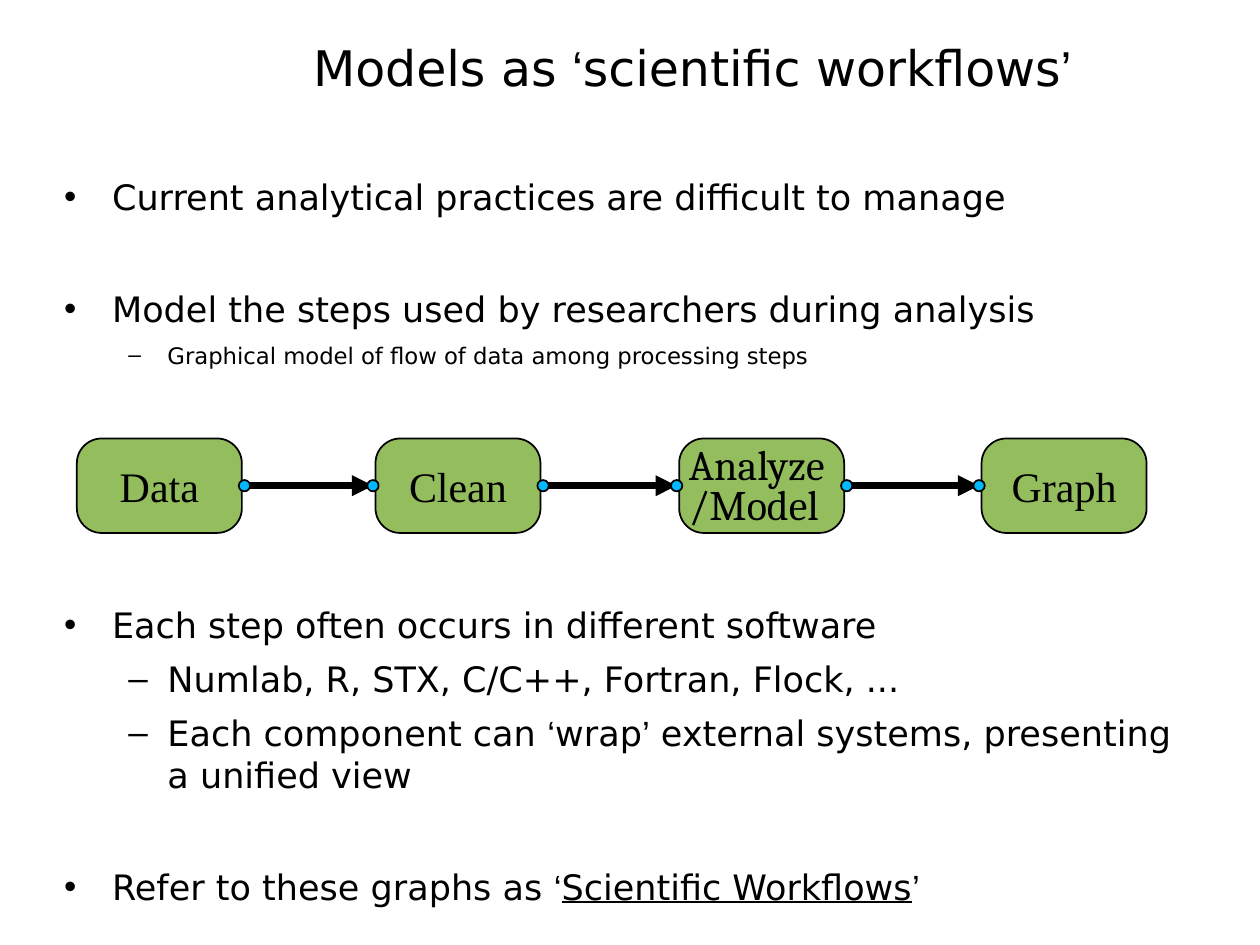
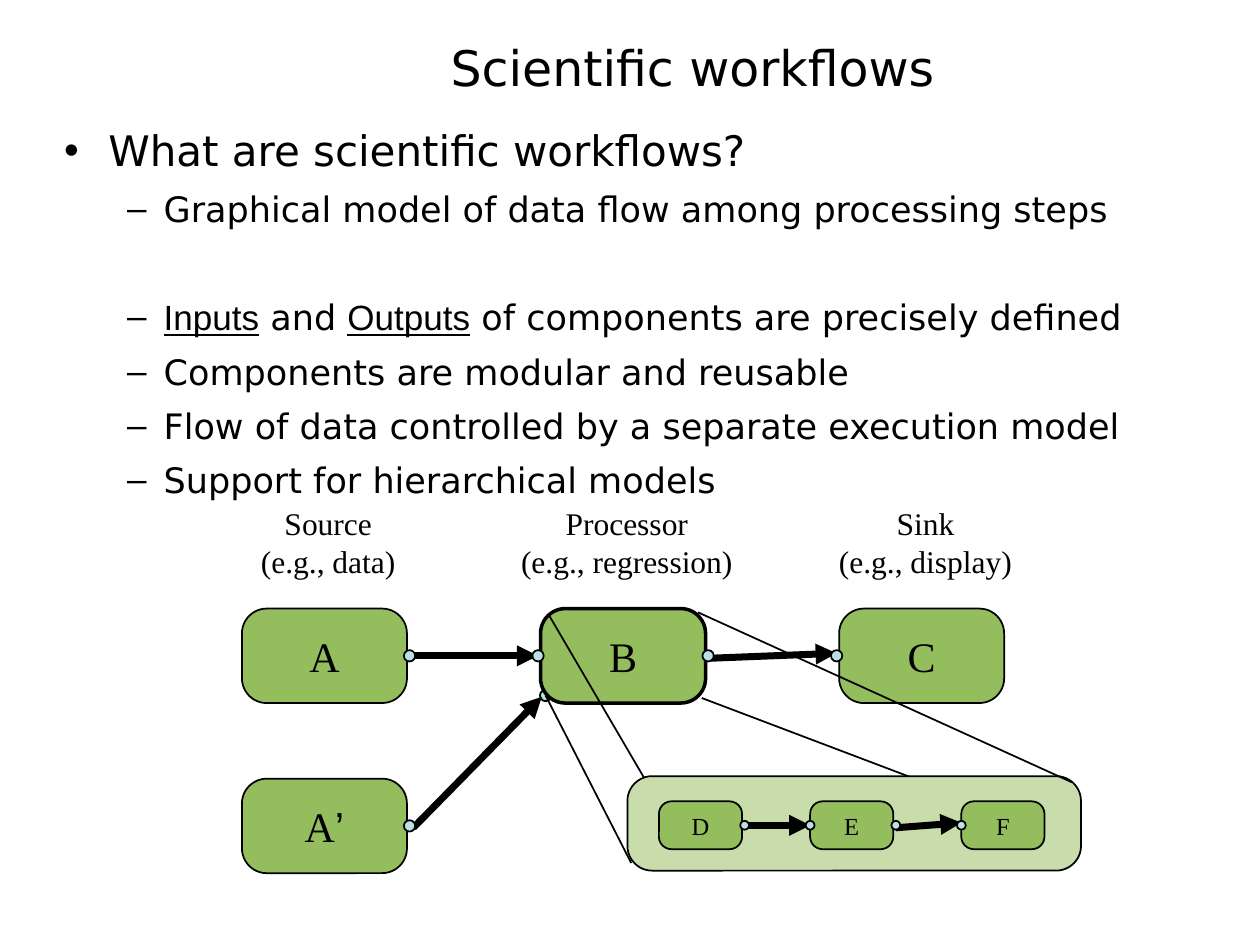
from dataclasses import dataclass

from pptx import Presentation
from pptx.dml.color import RGBColor
from pptx.enum.shapes import MSO_CONNECTOR as Connector, MSO_SHAPE as Shape
from pptx.enum.text import MSO_ANCHOR as Anchor, MSO_AUTO_SIZE as AutoSize, PP_ALIGN as Align
from pptx.oxml.ns import qn
from pptx.util import Inches, Pt
from lxml.etree import SubElement

BLACK = "000000"
GREEN = "94BD5E"
PALE_GREEN = "C8DDAB"
BRIGHT_BLUE = "00B8FF"
PALE_BLUE = "BBE0E3"
SANS = "DejaVu Sans"
SERIF = "Times New Roman"
OPEN_QUOTE = ("‘", "Arial", False)
CLOSE_QUOTE = ("’", "Arial", False)
TITLE_BOX = (1.33, 0, 8.37, 1.06)
CORNER = 0.262


@dataclass
class StepStyle:
    """Measures of one kind of workflow step, in inches and points."""
    width: float
    height: float
    port: float
    port_in: float
    port_out: float
    size: int


LARGE_STEP = StepStyle(1.31, 0.75, 0.09, -0.02, 0.02, 24)
SMALL_STEP = StepStyle(0.66, 0.38, 0.07, 0, 0.02, 14)


@dataclass
class BulletStyle:
    """Indents in inches and the bullet sign of one outline level."""
    margin: float
    hanging: float
    sign: str


def color(hex_string):
    """Turn a hex string into a colour."""
    return RGBColor.from_string(hex_string)


def inches(*lengths):
    """Convert several numbers to lengths."""
    return [Inches(length) for length in lengths]


def set_insets(frame, left=0, top=0, right=0, bottom=0):
    """Set the four insets of a text frame and let it wrap."""
    frame.margin_left, frame.margin_top, frame.margin_right, frame.margin_bottom = inches(
        left, top, right, bottom)
    frame.word_wrap = True
    frame.auto_size = AutoSize.NONE


def add_runs(para, pieces, size, font=SANS):
    """Write pieces, each a string or (text, font, underline), into a paragraph."""
    for piece in pieces:
        text, face, underline = (piece, font, False) if isinstance(piece, str) else piece
        span = para.add_run()
        span.text = text
        span.font.name = face
        span.font.size = Pt(size)
        span.font.underline = underline
        span.font.color.rgb = color(BLACK)


def add_title_page(deck, pieces):
    """Add a title-only page and format its title."""
    page = deck.slides.add_slide(deck.slide_layouts[5])
    title = page.shapes.title
    title.left, title.top, title.width, title.height = inches(*TITLE_BOX)
    frame = title.text_frame
    set_insets(frame, 0.1, 0.06, 0.14, 0.06)
    frame.vertical_anchor = Anchor.MIDDLE
    frame.paragraphs[0].alignment = Align.CENTER
    add_runs(frame.paragraphs[0], pieces, 28)
    return page


def add_outline(page, area, levels, items):
    """Add bulleted text; an item is level, size, space before and pieces."""
    frame = page.shapes.add_textbox(*inches(*area)).text_frame
    set_insets(frame, 0.06, 0.06, 0.14, 0.06)
    for index, (level, size, space, pieces) in enumerate(items):
        para = frame.add_paragraph() if index else frame.paragraphs[0]
        para.level = level
        para.space_before = Pt(space)
        style = levels[level]
        properties = para._p.get_or_add_pPr()
        properties.set("marL", str(Inches(style.margin)))
        properties.set("indent", str(-Inches(style.hanging)))
        SubElement(properties, qn("a:buFont")).set("typeface", "Arial")
        SubElement(properties, qn("a:buChar")).set("char", style.sign)
        add_runs(para, pieces, size)


def add_shape(page, kind, area, fill, line=1):
    """Add a filled shape with a black outline."""
    shape = page.shapes.add_shape(kind, *inches(*area))
    shape.shadow.inherit = False
    shape.fill.solid()
    shape.fill.fore_color.rgb = color(fill)
    shape.line.color.rgb = color(BLACK)
    shape.line.width = Pt(line)
    if kind == Shape.ROUNDED_RECTANGLE:
        shape.adjustments[0] = CORNER
    return shape


def add_line(page, start, end, width=1, arrow=False):
    """Draw a straight black line, with an arrowhead at its end if asked."""
    line = page.shapes.add_connector(Connector.STRAIGHT, *inches(*start, *end))
    line.line.color.rgb = color(BLACK)
    line.line.width = Pt(width)
    if arrow:
        SubElement(line.line._get_or_add_ln(), qn("a:tailEnd")).set("type", "triangle")
    SubElement(line._element.spPr, qn("a:effectLst"))


def add_port(page, center, size, fill):
    """Draw a round port around a point."""
    x, y = center
    add_shape(page, Shape.OVAL, (x - size / 2, y - size / 2, size, size), fill)


def add_step(page, left, top, style, pieces):
    """Draw one workflow step with its name centred."""
    step = add_shape(page, Shape.ROUNDED_RECTANGLE, (left, top, style.width, style.height), GREEN)
    set_insets(step.text_frame)
    step.text_frame.vertical_anchor = Anchor.MIDDLE
    para = step.text_frame.paragraphs[0]
    para.alignment = Align.CENTER
    add_runs(para, pieces, style.size, SERIF)
    return step


def add_chain(page, lefts, top, style, names, port_fill, rises):
    """Draw steps in a row, joined port to port by arrows that may rise."""
    middle = top + style.height / 2
    steps = [add_step(page, left, top, style, [name]) for left, name in zip(lefts, names)]
    for left, following, rise in zip(lefts, lefts[1:], rises):
        start = left + style.width + style.port_out
        end = following + style.port_in
        add_line(page, (start, middle + rise), (end, middle - rise), 4, arrow=True)
        for x in (start, end):
            add_port(page, (x, middle), style.port, port_fill)
    return steps


def split_step_name(step, lines):
    """Give a step a tight, left-aligned name of several lines."""
    frame = step.text_frame
    frame.text = "\n".join(lines)
    frame.margin_left, frame.margin_top = inches(0.02, 0.04)
    for para in frame.paragraphs:
        para.alignment = Align.LEFT
        para.line_spacing = 0.8
        font = para.runs[0].font
        font.name, font.size = "Cambria", Pt(24)
        font.color.rgb = color(BLACK)


def add_caption(page, area, lines):
    """Add a centred caption of several lines."""
    frame = page.shapes.add_textbox(*inches(*area)).text_frame
    set_insets(frame)
    frame.text = "\n".join(lines)
    for para in frame.paragraphs:
        para.alignment = Align.CENTER
        font = para.runs[0].font
        font.name, font.size = SERIF, Pt(18)
        font.color.rgb = color(BLACK)


def add_subworkflow(page, left, top):
    """Draw the panel that holds the inner workflow."""
    add_shape(page, Shape.ROUNDED_RECTANGLE, (left, top, 3.6, 0.75), PALE_GREEN)
    lefts = [left + 0.25 + 1.2 * index for index in range(3)]
    add_chain(page, lefts, top + 0.2, SMALL_STEP, "DEF", PALE_BLUE, (0, 0.02))


def add_hierarchy(page, left, top):
    """Draw the workflow whose middle step opens into an inner workflow."""
    lefts = [left + 2.37 * index for index in range(3)]
    captions = (("Source", "data"), ("Processor", "regression"), ("Sink", "display"))
    for step_left, (role, example) in zip(lefts, captions):
        add_caption(page, (step_left - 0.31, top - 0.83, 1.99, 0.68), (role, f"(e.g., {example})"))

    second_top = top + 1.35
    second_port = (left + LARGE_STEP.width + LARGE_STEP.port_out,
                   second_top + LARGE_STEP.height / 2)
    corner_port = (lefts[1] + 0.04, top + 0.69)
    add_port(page, corner_port, LARGE_STEP.port, PALE_BLUE)
    add_step(page, left, second_top, LARGE_STEP, ["A", CLOSE_QUOTE])
    add_line(page, (left + 1.36, top + 1.74), (lefts[1] + 0.01, top + 0.7), 4, arrow=True)
    add_port(page, second_port, LARGE_STEP.port, PALE_BLUE)

    add_line(page, (left + 3.65, top + 0.71), (left + 5.55, top + 1.43))
    steps = add_chain(page, lefts, top, LARGE_STEP, "ABC", PALE_BLUE, (0, 0.02))
    steps[1].line.width = Pt(2)
    add_subworkflow(page, left + 3.06, top + 1.33)
    for start_x, start_y, end_x, end_y in (
            (2.41, 0.69, 3.09, 2.02), (3.62, 0.03, 6.59, 1.38), (2.43, 0.04, 3.19, 1.34)):
        add_line(page, (left + start_x, top + start_y), (left + end_x, top + end_y))


def build_models_page(deck):
    """Build the page on models as workflows."""
    page = add_title_page(
        deck, ["Models as ", OPEN_QUOTE, "scientific workflows", CLOSE_QUOTE])
    levels = (BulletStyle(0.42, 0.38, "•"), BulletStyle(0.86, 0.31, "–"))
    add_outline(page, (0.41, 1.33, 9.17, 6.17), levels, [
        (0, 20, 8, ["Current analytical practices are difficult to manage"]),
        (0, 20, 40, ["Model the steps used by researchers during analysis"]),
        (1, 13, 7, ["Graphical model of flow of data among processing steps"]),
        (0, 20, 134, ["Each step often occurs in different software"]),
        (1, 20, 7, ["Numlab, R, STX, C/C++, Fortran, Flock, ..."]),
        (1, 20, 7, ["Each component can ", OPEN_QUOTE, "wrap", CLOSE_QUOTE,
                    " external systems, presenting a unified view"]),
        (0, 20, 40, ["Refer to these graphs as ", OPEN_QUOTE,
                     ("Scientific Workflows", SANS, True), CLOSE_QUOTE]),
    ])
    steps = add_chain(page, (0.61, 2.98, 5.39, 7.79), 3.48, LARGE_STEP,
                      ("Data", "Clean", "", "Graph"), BRIGHT_BLUE, (0, 0, 0))
    split_step_name(steps[2], ("Analyze", "/Model"))


def build_workflows_page(deck):
    """Build the page that explains scientific workflows."""
    page = add_title_page(deck, ["Scientific workflows"])
    levels = (BulletStyle(0.39, 0.35, "•"), BulletStyle(0.83, 0.29, "–"))
    add_outline(page, (0.41, 0.93, 9.16, 4.96), levels, [
        (0, 24, 8, ["What are scientific workflows?"]),
        (1, 20, 7, ["Graphical model of data flow among processing steps"]),
        (1, 20, 38, [("Inputs", "Arial", True), " and ", ("Outputs", "Arial", True),
                     " of components are precisely defined"]),
        (1, 20, 7, ["Components are modular and reusable"]),
        (1, 20, 7, ["Flow of data controlled by a separate execution model"]),
        (1, 20, 7, ["Support for hierarchical models"]),
    ])
    add_hierarchy(page, 1.92, 4.83)


def main():
    """Build and save the deck."""
    deck = Presentation()
    deck.slide_width, deck.slide_height = inches(10, 7.5)
    build_models_page(deck)
    build_workflows_page(deck)
    deck.save("out.pptx")


if __name__ == "__main__":
    main()
